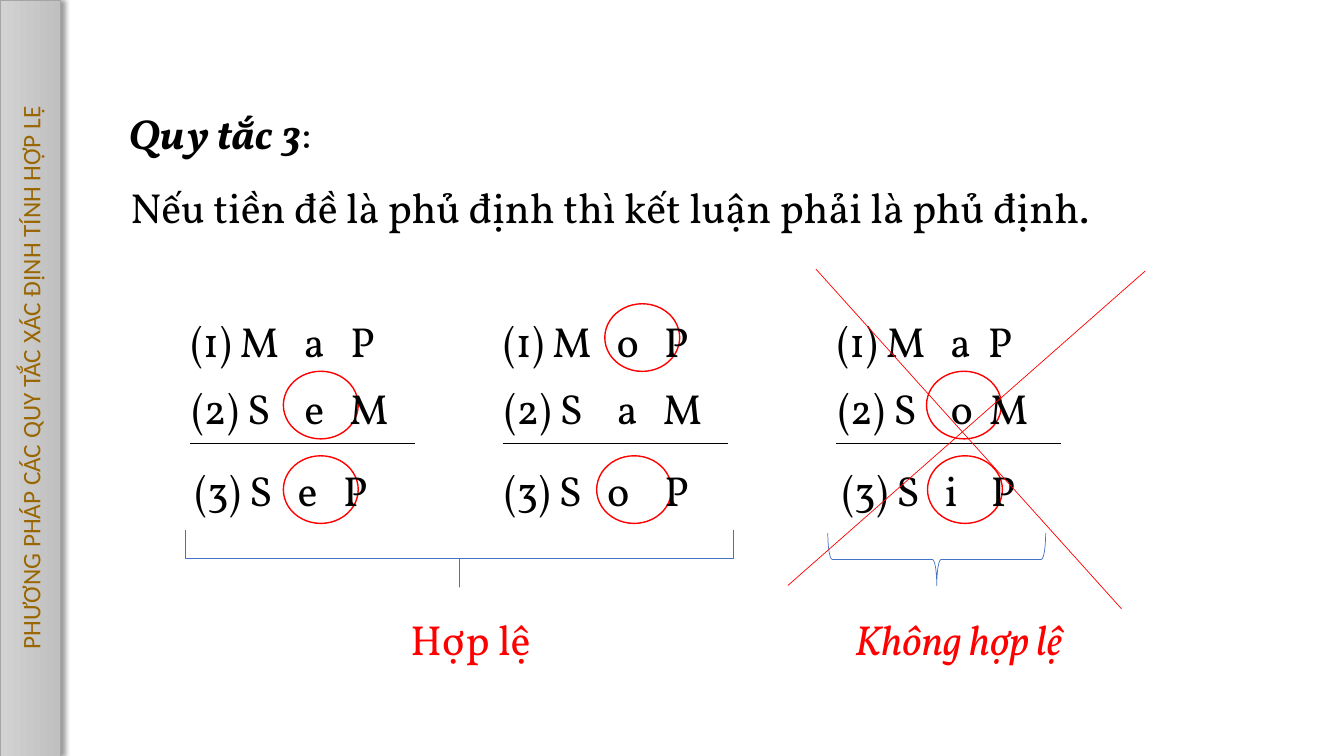
from lxml import etree
from pptx import Presentation
from pptx.dml.color import RGBColor
from pptx.enum.shapes import MSO_CONNECTOR, MSO_SHAPE
from pptx.enum.text import MSO_ANCHOR, MSO_AUTO_SIZE, PP_ALIGN
from pptx.oxml.ns import qn
from pptx.util import Pt

STRAIGHT = MSO_CONNECTOR.STRAIGHT
RECT, OVAL, BRACE = MSO_SHAPE.RECTANGLE, MSO_SHAPE.OVAL, MSO_SHAPE.RIGHT_BRACE
TOP, MIDDLE = MSO_ANCHOR.TOP, MSO_ANCHOR.MIDDLE
LEFT, CENTER, JUSTIFY = PP_ALIGN.LEFT, PP_ALIGN.CENTER, PP_ALIGN.JUSTIFY
GROW = MSO_AUTO_SIZE.SHAPE_TO_FIT_TEXT

BLACK = RGBColor(0x00, 0x00, 0x00)
WHITE = RGBColor(0xFF, 0xFF, 0xFF)
RED = RGBColor(0xFF, 0x00, 0x00)
BLUE = RGBColor(0x44, 0x72, 0xC4)
BROWN = RGBColor(0x99, 0x66, 0x00)
BAR_EDGE = RGBColor(0xA5, 0xA5, 0xA5)
BAR_LIGHT = RGBColor(0xD2, 0xD2, 0xD2)
BAR_DARK = RGBColor(0xC0, 0xC0, 0xC0)

TEXT_H = 44
ROW_TOPS = (30, 78, 136.5)       # premise, premise, conclusion
CIRCLE_TOPS = (25.2, 73.4, 133.8)
CIRCLE_W, CIRCLE_H = 53.5, 48.3
RULE_TOP, RULE_W = 125, 160.8

# Each row: text, indent, tab stops, left of the circle (None for no circle)
SYLLOGISMS = (
    (129.2, (("(1) M\ta\tP", 0, (80.8, 114), None),
             ("(2) S\te\tM", 0.7, (80.4, 112.5), 73.2),
             ("(3) S\te\tP", 2.9, (73.4, 106), 73.2))),
    (352.5, (("(1) M\to\tP", 0, (80.8, 114.8), 79.5),
             ("(2) S\ta\tM", 0.7, (80.4, 113.2), None),
             ("(3) S\to\tP", 0.7, (73.4, 114.2), 73.7))),
    (590.8, (("(1) M\ta\tP", 0, (80.8, 107.7), None),
             ("(2) S\to\tM", 0.7, (80.4, 108), 71),
             ("(3) S\ti\tP", 3.6, (73.4, 106.2), 71.7))),
)


def add_run(p, text, size=30, font="Vollkorn", color=BLACK, bold=False, italic=False):
    r = p.add_run()
    r.text = text
    r.font.size, r.font.name = Pt(size), font
    r.font.bold, r.font.italic = bold, italic
    r.font.color.rgb = color


def add_text(slide, text, x, y, w, align=LEFT, tabs=(), **fmt):
    s = slide.shapes.add_textbox(Pt(x), Pt(y), Pt(w), Pt(TEXT_H))
    tf = s.text_frame
    tf.word_wrap, tf.auto_size = True, GROW
    p = tf.paragraphs[0]
    p.alignment = align
    if tabs:
        tab_list = etree.SubElement(p._p.get_or_add_pPr(), qn("a:tabLst"))
        for pos in tabs:
            etree.SubElement(tab_list, qn("a:tab"), pos=str(Pt(pos)), algn="l")
    add_run(p, text, **fmt)


def add_line(slide, x1, y1, x2, y2, color):
    s = slide.shapes.add_connector(STRAIGHT, Pt(x1), Pt(y1), Pt(x2), Pt(y2))
    s.line.color.rgb, s.line.width = color, Pt(0.5)
    etree.SubElement(s._element.spPr, qn("a:effectLst"))


def add_outlined(slide, kind, x, y, w, h, color, width=0.5):
    s = slide.shapes.add_shape(kind, Pt(x), Pt(y), Pt(w), Pt(h))
    s.shadow.inherit = False
    s.line.color.rgb, s.line.width = color, Pt(width)
    return s


def draw_side_bar(slide, x, y, w, h):
    s = add_outlined(slide, RECT, x, y, w, h, BAR_EDGE)
    s.fill.gradient()
    s.fill.gradient_angle = 0
    for stop, color in zip(s.fill.gradient_stops, (BAR_LIGHT, BAR_DARK)):
        stop.color.rgb = color
    # Soft shadow to the right
    effects = s._element.spPr.find(qn("a:effectLst"))
    shadow = etree.SubElement(effects, qn("a:outerShdw"), blurRad=str(Pt(4)),
                              dist=str(Pt(3)), dir="0", rotWithShape="0")
    black = etree.SubElement(shadow, qn("a:srgbClr"), val=str(BLACK))
    etree.SubElement(black, qn("a:alpha"), val="40000")
    # Section name, reading upwards
    tf = s.text_frame
    tf.word_wrap, tf.vertical_anchor = True, MIDDLE
    tf._txBody.bodyPr.set("vert", "vert270")
    p = tf.paragraphs[0]
    p.alignment = CENTER
    add_run(p, "PHƯƠNG PHÁP CÁC QUY TẮC XÁC ĐỊNH TÍNH HỢP LỆ",
            size=18, font="Calibri", color=BROWN)


def draw_rule(slide, x, y, w):
    # Title
    s = slide.shapes.title
    s.left, s.top, s.width, s.height = Pt(x), Pt(y), Pt(w), Pt(TEXT_H)
    tf = s.text_frame
    tf.word_wrap, tf.auto_size, tf.vertical_anchor = True, GROW, TOP
    p = tf.paragraphs[0]
    p.alignment = LEFT
    add_run(p, "Quy tắc 3", bold=True, italic=True)
    add_run(p, ":")
    # Statement
    add_text(slide, "Nếu tiền đề là phủ định thì kết luận phải là phủ định.",
             x + 1.4, y + 52.7, w, align=JUSTIFY)


def draw_syllogism(slide, x, y, rows):
    for (text, indent, tabs, circle), row_top, circle_top in zip(rows, ROW_TOPS, CIRCLE_TOPS):
        if circle is not None:
            s = add_outlined(slide, OVAL, x + circle, y + circle_top,
                             CIRCLE_W, CIRCLE_H, RED, width=1)
            s.fill.solid()
            s.fill.fore_color.rgb = WHITE
        add_text(slide, text, x + indent, y + row_top, 168, tabs=tabs)
    add_line(slide, x + 6.5, y + RULE_TOP, x + 6.5 + RULE_W, y + RULE_TOP, BLACK)


def draw_verdict(slide, x, y, w, h, text, text_x, text_w, adjustments=(), italic=False):
    # Brace turned a quarter to fill the box
    s = add_outlined(slide, BRACE, x + (w - h) / 2, y + (h - w) / 2, h, w, BLUE)
    s.rotation = 90
    s.fill.background()
    for i, value in enumerate(adjustments):
        s.adjustments[i] = value
    # Label below
    add_text(slide, text, x + text_x, 434.9, text_w, color=RED, italic=italic)


def draw_cross(slide, x, y):
    add_line(slide, x + 20, y, x + 238.3, y + 242.7, RED)
    add_line(slide, x + 255.2, y + 1.4, x, y + 226, RED)


def main():
    prs = Presentation()
    prs.slide_width, prs.slide_height = Pt(960), Pt(540)
    slide = prs.slides.add_slide(prs.slide_layouts[5])
    draw_side_bar(slide, 0, 0, 43.2, 540)
    draw_rule(slide, 84.6, 73.3, 756.7)
    for x, rows in SYLLOGISMS:
        draw_syllogism(slide, x, 191.8, rows)
    draw_verdict(slide, 132.5, 378.4, 391, 41, "Hợp lệ", 153.6, 113.8, adjustments=(0, 0.5))
    draw_verdict(slide, 591.3, 380.9, 155.6, 37.4, "Không hợp lệ", 12, 183.6, italic=True)
    draw_cross(slide, 562.8, 192.2)
    prs.save("out.pptx")


if __name__ == "__main__":
    main()
